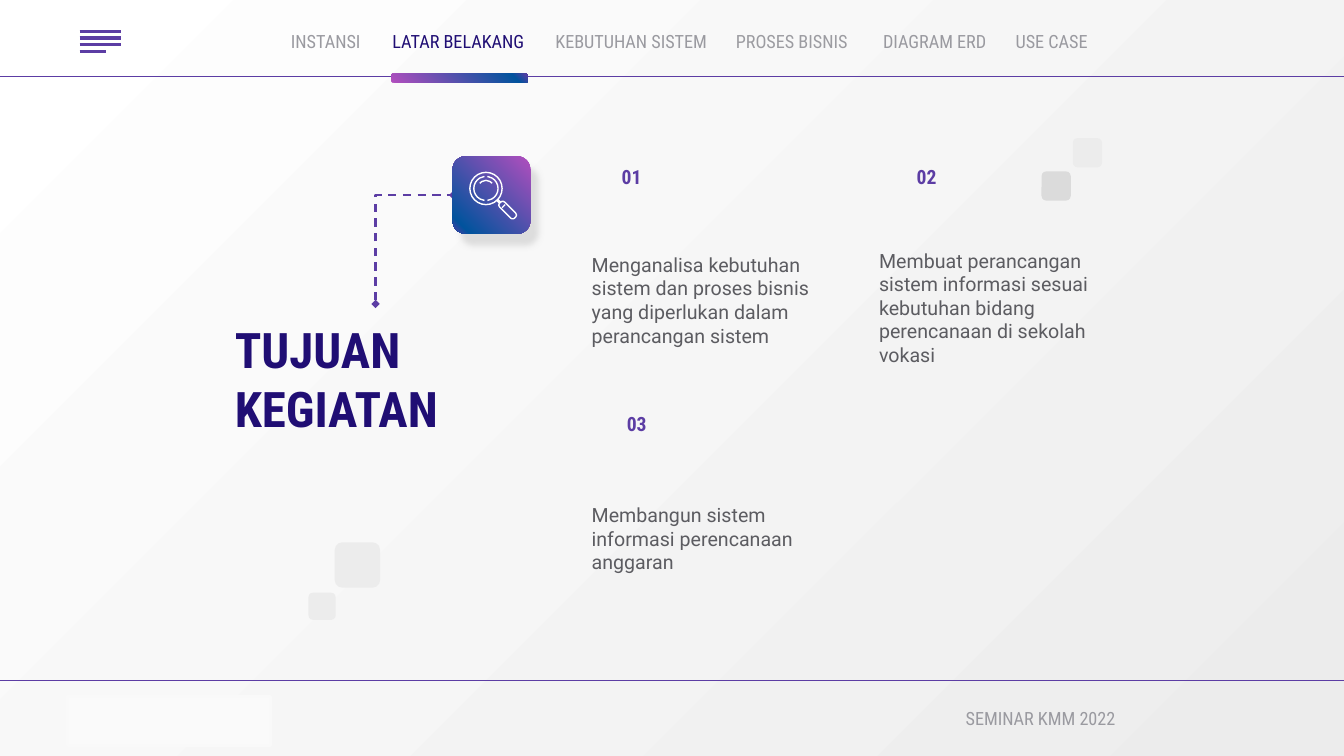
from copy import deepcopy

from lxml import etree
from pptx import Presentation
from pptx.dml.color import RGBColor
from pptx.enum.dml import MSO_LINE
from pptx.enum.shapes import MSO_CONNECTOR, MSO_SHAPE
from pptx.enum.text import MSO_ANCHOR, PP_ALIGN
from pptx.oxml.ns import qn
from pptx.util import Inches, Pt

LEFT, CENTER, RIGHT = PP_ALIGN.LEFT, PP_ALIGN.CENTER, PP_ALIGN.RIGHT
TOP, MIDDLE = MSO_ANCHOR.TOP, MSO_ANCHOR.MIDDLE
STRAIGHT, ELBOW = MSO_CONNECTOR.STRAIGHT, MSO_CONNECTOR.ELBOW
RECTANGLE, ROUNDED = MSO_SHAPE.RECTANGLE, MSO_SHAPE.ROUNDED_RECTANGLE
OVAL, ARC = MSO_SHAPE.OVAL, MSO_SHAPE.ARC
DASH = MSO_LINE.DASH

BODY_FONT, HEAD_FONT = "Roboto", "Roboto Condensed"
PURPLE, NAVY, GREY, MUTED = "5C3DA4", "200E74", "5C5C61", "9A9AA0"
WHITE, PALE, SILVER = "FFFFFF", "ECECEC", "DBDBDB"
ACCENT = [(0, "B24EBE"), (0.89, "01539D"), (1, PURPLE)]
ICON_WEIGHT = 1

MENU = [
    ("INSTANSI", 2.68, 1.1, CENTER, MUTED),
    ("LATAR BELAKANG", 3.72, 1.65, CENTER, NAVY),
    ("KEBUTUHAN SISTEM", 5.31, 1.9, CENTER, MUTED),
    ("PROSES BISNIS", 7.2, 1.44, LEFT, "9C9CA1"),
    ("DIAGRAM ERD", 8.55, 1.44, CENTER, MUTED),
    ("USE CASE", 9.71, 1.44, CENTER, MUTED),
]
GOALS = [
    ("01", (5.87, 1.59, 0.79, 0.71), (5.77, 2.4, 2.4, 1.15),
     "Menganalisa kebutuhan sistem dan proses bisnis yang diperlukan dalam perancangan sistem"),
    ("02", (8.74, 1.59, 0.9, 0.71), (8.62, 2.65, 2.4, 0.8),
     "Membuat perancangan sistem informasi sesuai kebutuhan bidang perencanaan di sekolah vokasi"),
    ("03", (5.87, 4.04, 0.89, 0.71), (5.77, 4.77, 2.4, 1.14),
     "Membangun sistem informasi perencanaan anggaran"),
]
SQUARES = [
    (5, 1.91, 0.26, SILVER),
    (10.33, 1.7, 0.29, SILVER),
    (10.64, 1.37, 0.29, PALE),
    (3.32, 5.38, 0.45, PALE),
    (3.06, 5.88, 0.27, PALE),
]


def color(value):
    return RGBColor.from_string(value)


def paint_gradient(fill, stops, clockwise_angle):
    fill.gradient()
    fill.gradient_angle = 360 - clockwise_angle
    last_stop = fill.gradient_stops[1]._gs
    for _ in stops[2:]:
        last_stop.addnext(deepcopy(last_stop))
    for stop, (position, value) in zip(fill.gradient_stops, stops):
        stop.position = position
        stop.color.rgb = color(value)


def add_text(page, text, at, size=14, font=HEAD_FONT, fill=MUTED, bold=False,
             align=LEFT, anchor=MIDDLE, inset=0.1):
    box = page.shapes.add_textbox(*map(Inches, at))
    frame = box.text_frame
    frame.word_wrap = True
    frame.vertical_anchor = anchor
    frame.margin_top = frame.margin_bottom = Inches(inset)
    para = frame.paragraphs[0]
    para.alignment = align
    span = para.add_run()
    span.text = text
    span.font.name = font
    span.font.size = Pt(size)
    span.font.bold = bold
    span.font.color.rgb = color(fill)


def add_block(page, kind, at, fill=None, line=None, weight=1, angle=0):
    block = page.shapes.add_shape(kind, *map(Inches, at))
    block.shadow.inherit = False
    block.rotation = angle
    if isinstance(fill, list):
        paint_gradient(block.fill, fill, 135)
    elif fill:
        block.fill.solid()
        block.fill.fore_color.rgb = color(fill)
    else:
        block.fill.background()
    if line:
        block.line.color.rgb = color(line)
        block.line.width = Pt(weight)
    else:
        block.line.fill.background()
    return block


def add_line(page, start, end, line=PURPLE, weight=0.75, kind=STRAIGHT):
    connector = page.shapes.add_connector(kind, *map(Inches, (*start, *end)))
    connector.line.color.rgb = color(line)
    connector.line.width = Pt(weight)
    etree.SubElement(connector._element.spPr, qn("a:effectLst"))
    return connector


def add_title_link(page):
    link = add_line(page, (3.57, 2.09), (4.65, 2.86), weight=1.5, kind=ELBOW)
    link.line.dash_style = DASH
    properties = link._element.spPr
    properties.find(qn("a:xfrm")).set("rot", str(270 * 60000))
    properties.find(qn("a:prstGeom")).set("prst", "bentConnector2")
    outline = properties.find(qn("a:ln"))
    for tag in ("a:headEnd", "a:tailEnd"):
        etree.SubElement(outline, qn(tag), type="diamond")


def add_soft_shadow(block):
    effects = block._element.spPr.find(qn("a:effectLst"))
    shadow = etree.SubElement(
        effects, qn("a:outerShdw"), blurRad=str(Pt(4.5)), dist=str(Pt(9.8)),
        dir=str(55 * 60000), algn="bl", rotWithShape="0")
    tint = etree.SubElement(shadow, qn("a:srgbClr"), val="CCCCCC")
    etree.SubElement(tint, qn("a:alpha"), val="60000")


def add_magnifier(page):
    center_x, center_y = 4.82, 1.87

    def around(radius):
        return center_x - radius, center_y - radius, 2 * radius, 2 * radius

    add_block(page, OVAL, around(0.16), line=WHITE, weight=ICON_WEIGHT)
    for radius, start, end in ((0.12, 277, 83), (0.12, 97, 263), (0.08, 220, 320)):
        arc = add_block(page, ARC, around(radius), line=WHITE, weight=ICON_WEIGHT)
        arc.adjustments[0] = start * 0.6
        arc.adjustments[1] = end * 0.6
    handle = add_block(page, ROUNDED, (4.93, 2.05, 0.21, 0.07), line=WHITE,
                       weight=ICON_WEIGHT, angle=45)
    handle.adjustments[0] = 0.4
    add_line(page, (4.98, 2.06), (5.01, 2.03), WHITE, ICON_WEIGHT)
    add_line(page, (4.93, 1.98), (4.96, 2.01), WHITE, 2)


def add_frame(page):
    paint_gradient(page.background.fill, [(0, WHITE), (1, PALE)], 45)
    for y in (0.76, 6.75):
        add_line(page, (-0.07, y), (13.4, y))
    for row, end in enumerate((1.2, 1.2, 1.2, 1.05)):
        y = 0.31 + row * 0.2 / 3
        add_line(page, (0.79, y), (end, y), weight=2.25)


def main():
    deck = Presentation()
    deck.slide_width, deck.slide_height = Inches(13.33), Inches(7.5)
    page = deck.slides.add_slide(deck.slide_layouts[6])
    add_frame(page)
    add_text(page, "TUJUAN KEGIATAN", (2.23, 3.01, 2.98, 1.48), size=35,
             fill=NAVY, bold=True)
    add_title_link(page)
    for left, top, side, fill in SQUARES:
        add_block(page, ROUNDED, (left, top, side, side), fill)
    button = add_block(page, ROUNDED, (4.49, 1.55, 0.77, 0.77), ACCENT)
    add_soft_shadow(button)
    add_magnifier(page)
    for number, number_at, goal_at, goal in GOALS:
        add_text(page, number, number_at, fill=PURPLE, bold=True, align=CENTER,
                 anchor=TOP, inset=0.05)
        add_text(page, goal, goal_at, font=BODY_FONT, fill=GREY)
    add_text(page, "SEMINAR KMM 2022", (8.66, 6.91, 2.5, 0.44), size=13, align=RIGHT)
    add_block(page, RECTANGLE, (0.67, 6.91, 2.01, 0.49), "FAFAFA", "F9F9F9", 2)
    for label, left, width, align, fill in MENU:
        add_text(page, label, (left, 0.19, width, 0.44), size=13, fill=fill, align=align)
    add_block(page, ROUNDED, (3.88, 0.73, 1.35, 0.09), ACCENT, angle=180)
    deck.save("out.pptx")


if __name__ == "__main__":
    main()
